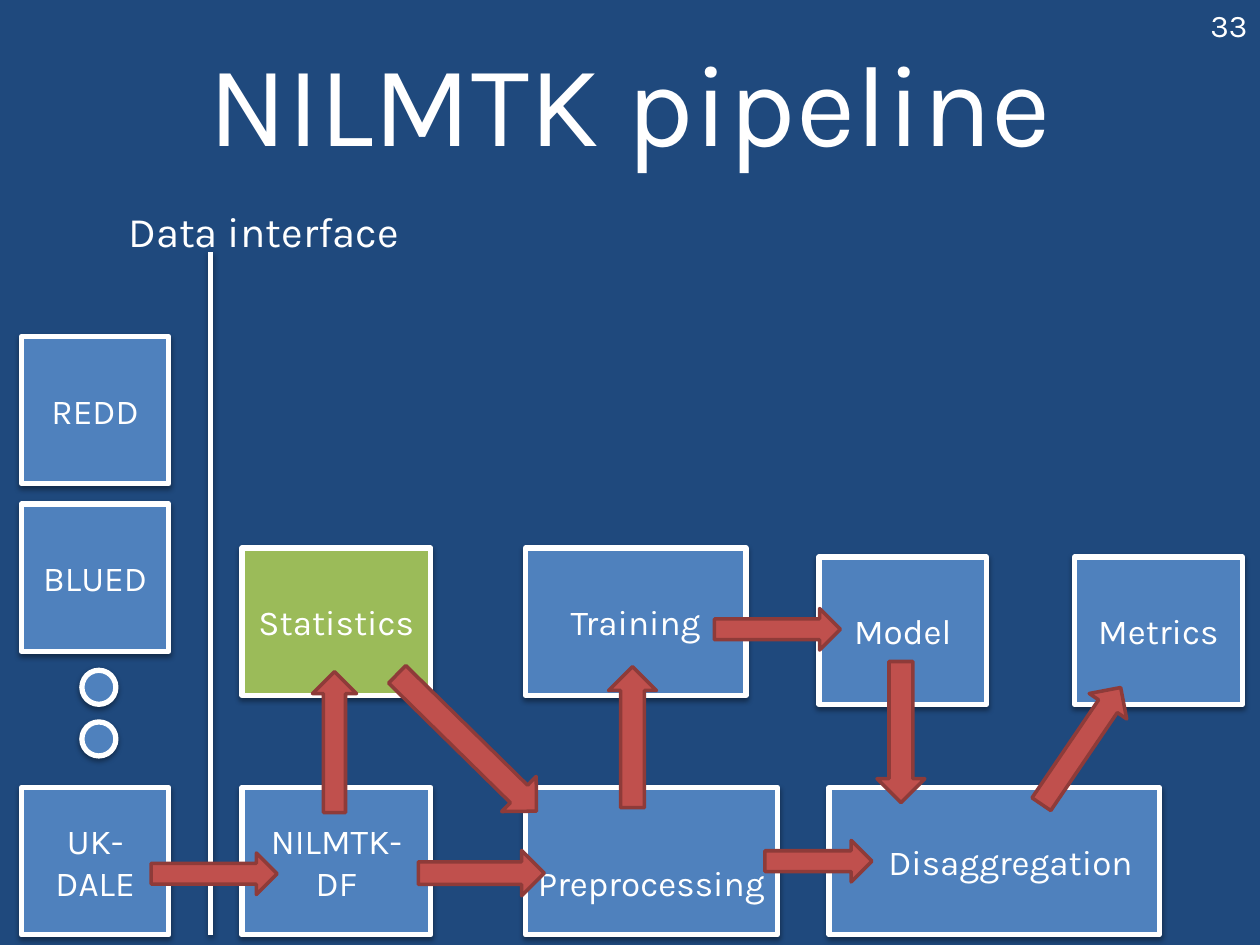
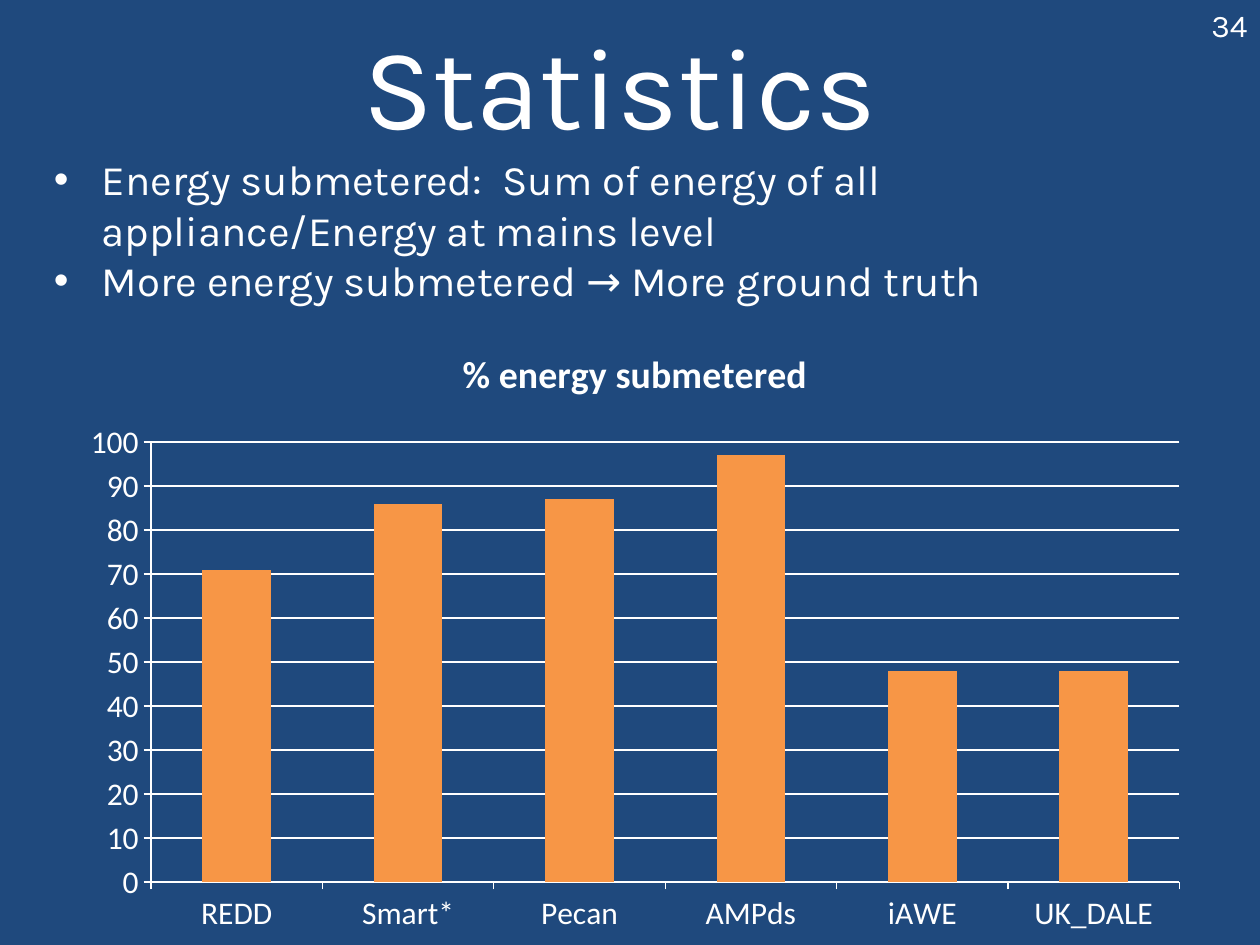
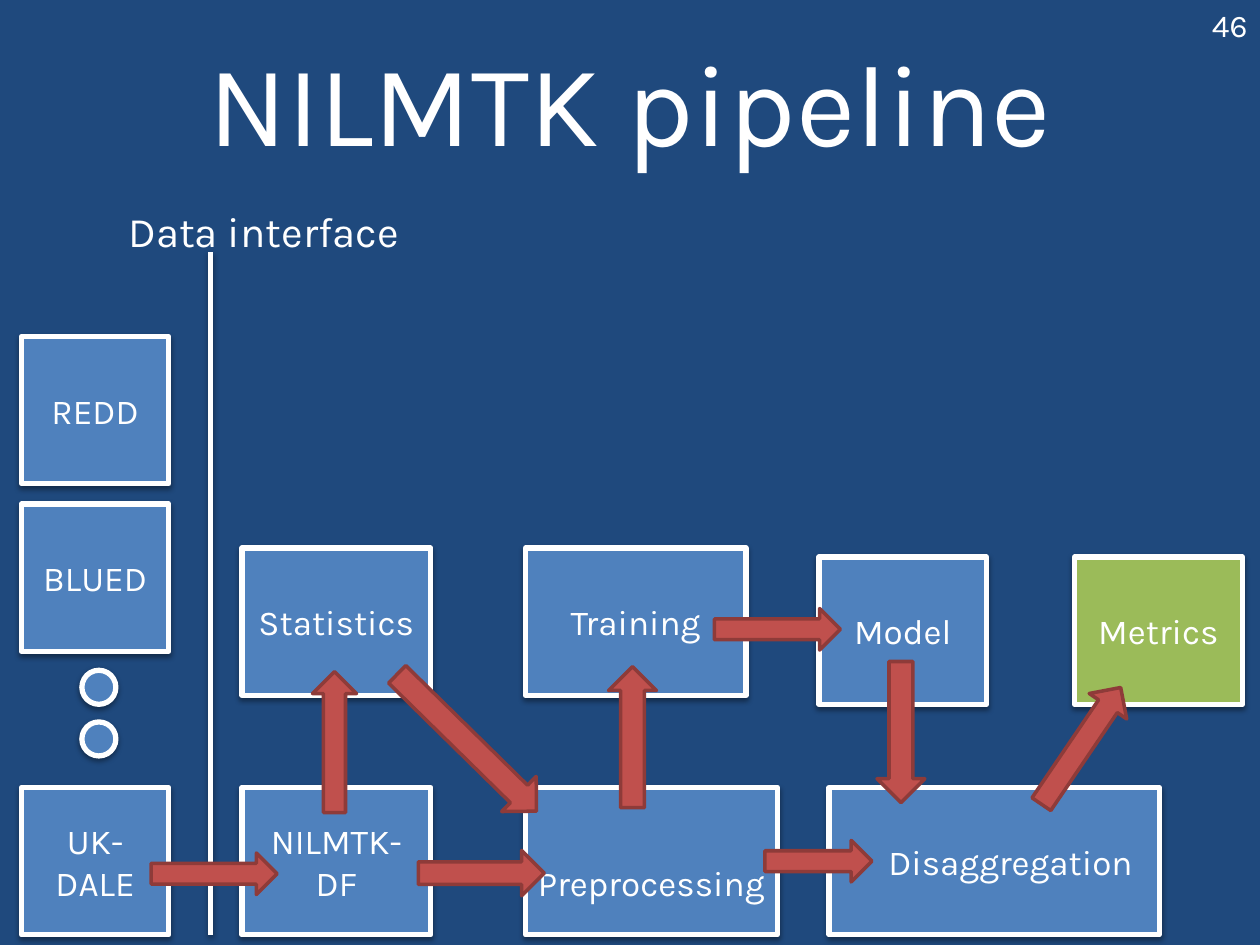
from lxml.etree import SubElement
from pptx import Presentation
from pptx.chart.data import CategoryChartData
from pptx.dml.color import RGBColor
from pptx.enum.chart import XL_CHART_TYPE, XL_TICK_MARK
from pptx.enum.shapes import MSO_CONNECTOR, MSO_SHAPE
from pptx.enum.text import MSO_ANCHOR, PP_ALIGN
from pptx.oxml.ns import qn
from pptx.util import Inches, Pt

NAVY, WHITE, BLACK = "1F497D", "FFFFFF", "000000"
BLUE, GREEN, ORANGE = "4F81BD", "9BBB59", "F79646"
RED, DARK_RED = "C0504D", "8E3B39"

# Pipeline stages: name, left, top, width, extra text insets
STAGES = [
    ("REDD", 0.17, 2.67, 1.17, {}),
    ("BLUED", 0.17, 4, 1.17, {}),
    ("UK-DALE", 0.17, 6.25, 1.17, {}),
    ("Statistics", 1.92, 4.35, 1.5, {}),
    ("NILMTK-DF", 1.92, 6.25, 1.5, {}),
    ("Training", 4.17, 4.35, 1.75, {}),
    ("Preprocessing", 4.17, 6.25, 2, {
        "margin_top": Inches(0.38), "margin_left": Inches(0.05), "margin_right": Inches(0.05)}),
    ("Model", 6.5, 4.42, 1.33, {}),
    ("Disaggregation", 6.58, 6.25, 2.62, {"margin_left": Inches(0.36)}),
    ("Metrics", 8.53, 4.42, 1.33, {}),
]
STAGE_HEIGHT = 1.17

# Arrows: left, top, width, height, rotation
RIGHT_ARROWS = [
    (5.67, 4.83, 1, 0.33, 0),
    (3.32, 6.75, 1, 0.36, 0),
    (6.07, 6.67, 0.85, 0.33, 0),
    (1.2, 6.77, 1, 0.33, 0),
]
UP_ARROWS = [
    (2.48, 5.33, 0.35, 1.12, 0),
    (4.83, 5.29, 0.38, 1.12, 0),
    (6.96, 5.25, 0.38, 1.12, 180),
    (3.51, 5.12, 0.39, 1.55, 134.5),
    (8.4, 5.36, 0.36, 1.12, 34.2),
]


def color(value):
    return RGBColor.from_string(value)


def apply(target, values):
    for name, value in values.items():
        setattr(target, name, value)


def place(*lengths):
    return [Inches(length) for length in lengths]


class SlideMaker:
    """Holds the deck style and the slide being filled."""

    def __init__(self):
        self.deck = Presentation()
        apply(self.deck, {"slide_width": Inches(10), "slide_height": Inches(7.5)})
        self.paint(self.deck.slide_master.background.fill, NAVY)
        self.page = None

    def paint(self, fill, value):
        fill.solid()
        fill.fore_color.rgb = color(value)

    def stroke(self, line, value, width):
        self.paint(line.fill, value)
        line.width = Pt(width)

    def style_font(self, font, size, name="Karla"):
        apply(font, {"name": name, "size": Pt(size)})
        font.color.rgb = color(WHITE)

    def cast_shadow(self, shape):
        properties = shape._element.spPr
        for old in properties.findall(qn("a:effectLst")):
            properties.remove(old)
        effects = SubElement(properties, qn("a:effectLst"))
        shadow = SubElement(effects, qn("a:outerShdw"), blurRad=str(Pt(3.1)),
                            dist=str(Pt(1.6)), dir="5400000", rotWithShape="0")
        tint = SubElement(shadow, qn("a:srgbClr"), val=BLACK)
        SubElement(tint, qn("a:alpha"), val="38000")

    def set_text(self, box, lines, size, align=PP_ALIGN.LEFT, anchor=MSO_ANCHOR.MIDDLE,
                 bullets=False, insets=None):
        frame = box.text_frame
        apply(frame, {"word_wrap": True, "vertical_anchor": anchor, **(insets or {})})
        frame.text = "\n".join(lines)
        for para in frame.paragraphs:
            para.alignment = align
            if bullets:
                self.add_bullet(para)
            for span in para.runs:
                self.style_font(span.font, size)

    def add_bullet(self, para):
        properties = para._p.get_or_add_pPr()
        indent = Inches(0.38)
        properties.set("marL", str(indent))
        properties.set("indent", str(-indent))
        SubElement(properties, qn("a:buFont"), typeface="Arial")
        SubElement(properties, qn("a:buChar"), char="•")

    def start(self, title, left, top):
        self.page = self.deck.slides.add_slide(self.deck.slide_layouts[5])
        box = self.page.shapes.title
        apply(box, {"left": Inches(left), "top": Inches(top),
                    "width": Inches(9), "height": Inches(1.25)})
        self.set_text(box, [title], 66, PP_ALIGN.CENTER)

    def text(self, lines, at, size, **options):
        box = self.page.shapes.add_textbox(*place(*at))
        self.set_text(box, lines, size, **options)

    def number(self, value):
        self.text([str(value)], (7.67, 0, 2.33, 0.4), 18, align=PP_ALIGN.RIGHT)

    def shape(self, kind, at, fill, line, width, shadow=False, rotation=0):
        shape = self.page.shapes.add_shape(kind, *place(*at))
        self.paint(shape.fill, fill)
        self.stroke(shape.line, line, width)
        shape.rotation = rotation
        shape.shadow.inherit = False
        if shadow:
            self.cast_shadow(shape)
        return shape

    def stage(self, name, at, fill, insets):
        box = self.shape(MSO_SHAPE.RECTANGLE, at, fill, WHITE, 3, shadow=True)
        self.set_text(box, [name], 20, PP_ALIGN.CENTER, insets=insets)

    def dot(self, left, top):
        self.shape(MSO_SHAPE.OVAL, (left, top, 0.27, 0.27), BLUE, WHITE, 3, shadow=True)

    def arrow(self, kind, *at, rotation=0):
        self.shape(kind, at, RED, DARK_RED, 2, rotation=rotation)

    def divider(self, *ends):
        line = self.page.shapes.add_connector(MSO_CONNECTOR.STRAIGHT, *place(*ends))
        self.stroke(line.line, WHITE, 3)
        self.cast_shadow(line)

    def column_chart(self, title, values, at):
        data = CategoryChartData()
        data.categories = list(values)
        data.add_series(title, list(values.values()))
        chart = self.page.shapes.add_chart(
            XL_CHART_TYPE.COLUMN_CLUSTERED, *place(*at), data).chart
        self.style_font(chart.font, 18, "Calibri")
        apply(chart, {"has_legend": False, "has_title": True})

        # Title
        chart.chart_title.include_in_layout = False
        chart.chart_title.text_frame.text = title
        span = chart.chart_title.text_frame.paragraphs[0].runs[0]
        self.style_font(span.font, 21.6, "Calibri")
        span.font.bold = True

        # Columns
        plot = chart.plots[0]
        apply(plot, {"gap_width": 150, "vary_by_categories": False})
        self.paint(plot.series[0].format.fill, ORANGE)

        # Axes
        apply(chart.value_axis, {"minimum_scale": 0, "maximum_scale": 100,
                                 "major_unit": 10, "has_major_gridlines": True})
        self.stroke(chart.value_axis.major_gridlines.format.line, WHITE, 1)
        for axis in (chart.category_axis, chart.value_axis):
            axis.major_tick_mark = XL_TICK_MARK.OUTSIDE
            self.stroke(axis.format.line, WHITE, 0.75)


def add_pipeline(maker, highlighted, number):
    maker.start("NILMTK pipeline", 0.5, 0.17)

    # Stages
    for name, left, top, width, insets in STAGES:
        fill = GREEN if name == highlighted else BLUE
        maker.stage(name, (left, top, width, STAGE_HEIGHT), fill, insets)

    # Data interface
    maker.divider(1.67, 2, 1.67, 7.42)
    maker.text(["Data interface"], (0.92, 1.58, 2.75, 0.5), 24, anchor=MSO_ANCHOR.TOP)

    # Flow
    for kind, arrows in ((MSO_SHAPE.RIGHT_ARROW, RIGHT_ARROWS), (MSO_SHAPE.UP_ARROW, UP_ARROWS)):
        for *at, rotation in arrows:
            maker.arrow(kind, *at, rotation=rotation)

    # Page number and further data sets
    maker.number(number)
    for top in (5.32, 5.73):
        maker.dot(0.65, top)


def add_statistics(maker, number):
    maker.start("Statistics", 0.42, 0.04)
    maker.column_chart(
        "% energy submetered",
        {"REDD": 71, "Smart*": 86, "Pecan": 87, "AMPds": 97, "iAWE": 48, "UK_DALE": 48},
        (0.54, 2.55, 9, 4.95))
    maker.text(
        ["Energy submetered:  Sum of energy of all appliance/Energy at mains level",
         "More energy submetered → More ground truth"],
        (0.33, 1.17, 9.42, 1.31), 24, anchor=MSO_ANCHOR.TOP, bullets=True)
    maker.number(number)


def main():
    maker = SlideMaker()
    add_pipeline(maker, "Statistics", 33)
    add_statistics(maker, 34)
    add_pipeline(maker, "Metrics", 46)
    maker.deck.save("out.pptx")


if __name__ == "__main__":
    main()
